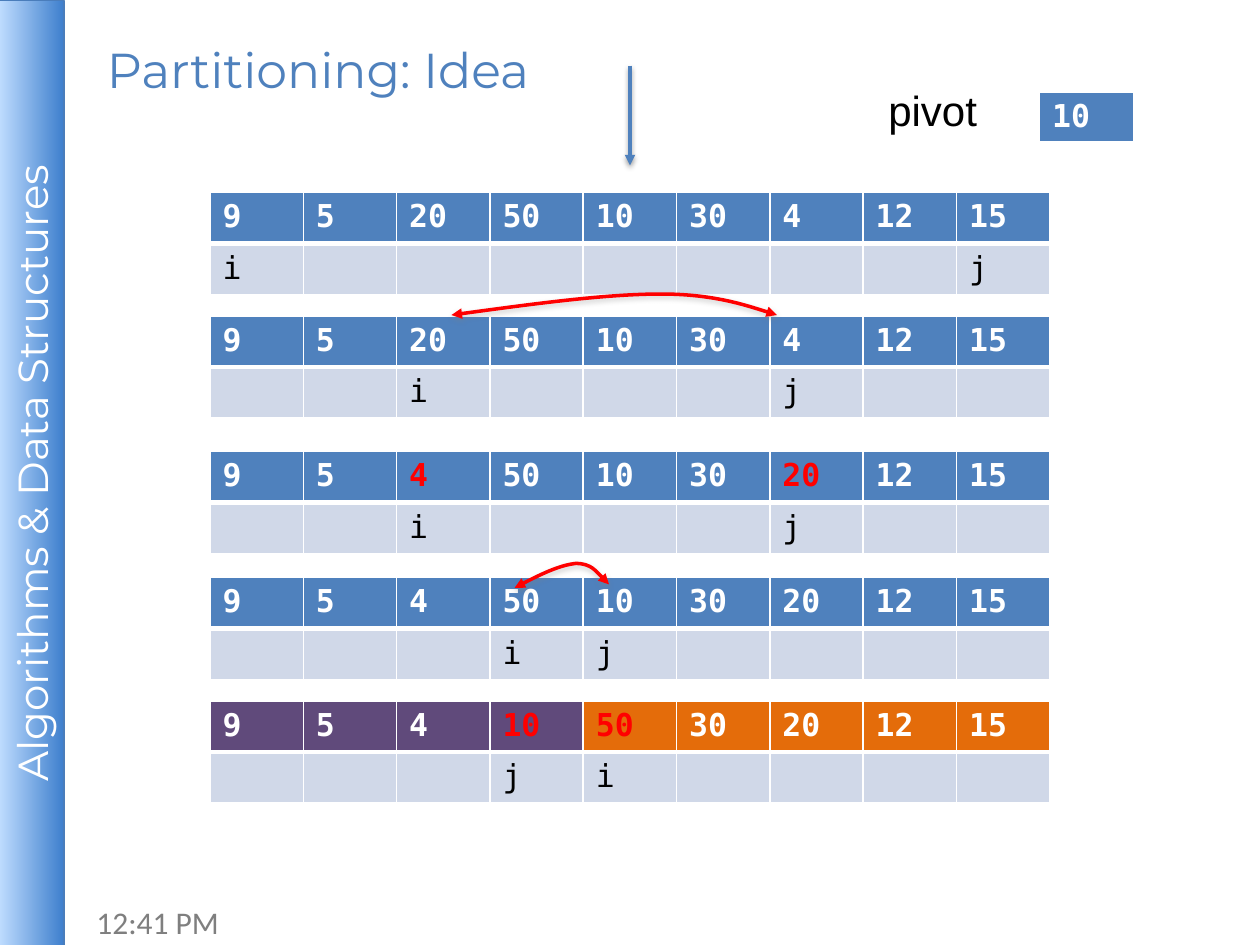
from lxml import etree
from pptx import Presentation
from pptx.dml.color import RGBColor
from pptx.enum.shapes import MSO_CONNECTOR as CONN, MSO_SHAPE as SHAPE
from pptx.enum.text import MSO_ANCHOR as ANCHOR, PP_ALIGN as ALIGN
from pptx.oxml import parse_xml
from pptx.oxml.ns import nsdecls, qn
from pptx.util import Pt

BLUE, PURPLE, ORANGE, PALE = "4F81BD", "604A7B", "E46C0A", "D0D8E8"
WHITE, BLACK, RED = "FFFFFF", "000000", "FF0000"


def rgb(value):
    return RGBColor.from_string(value)


def add_shadow(sp, color, alpha, blur, dist):
    sp._element.spPr.append(parse_xml(
        f'<a:effectLst {nsdecls("a")}><a:outerShdw blurRad="{Pt(blur)}" dist="{Pt(dist)}" '
        f'dir="5400000" rotWithShape="0"><a:srgbClr val="{color}">'
        f'<a:alpha val="{alpha * 1000}"/></a:srgbClr></a:outerShdw></a:effectLst>'))


prs = Presentation()
prs.slide_width, prs.slide_height = Pt(720), Pt(540)
s = prs.slides.add_slide(prs.slide_layouts[6])

# Side banner, turned to read upwards
sp = s.shapes.add_shape(SHAPE.RECTANGLE, Pt(-252), Pt(252), Pt(540.5), Pt(36.75))
sp.rotation = 270
sp.fill.gradient()
sp.fill.gradient_angle = 270
for stop, color in zip(sp.fill.gradient_stops, ("BDDBFE", "3E7FCD")):
    stop.color.rgb = rgb(color)
sp.line.color.rgb = rgb("4A7DBB")
sp.line.width = Pt(0.75)
add_shadow(sp, "EEECE1", 35, 0, 1.8)
tf = sp.text_frame
tf.vertical_anchor = ANCHOR.MIDDLE
tf.margin_left = tf.margin_right = tf.margin_top = tf.margin_bottom = Pt(3)
p = tf.paragraphs[0]
p.text = "Algorithms & Data Structures"
p.alignment = ALIGN.CENTER
p.font.size, p.font.name, p.font.color.rgb = Pt(24), "Montserrat", rgb(WHITE)

# Title, time and pivot label
labels = [
    ("Partitioning: Idea", 54, 11.5, 540, 56.2, "Montserrat", 28, BLUE, ANCHOR.MIDDLE, True),
    ("12:41 PM", 48, 512.5, 168, 29, "Calibri", 18, "7F7F7F", ANCHOR.TOP, True),
    ("pivot", 500.5, 44.75, 65.5, 36, "Arial", 24, BLACK, ANCHOR.TOP, False),
]
for text, x, y, w, h, font, size, color, anchor, wrap in labels:
    tf = s.shapes.add_textbox(Pt(x), Pt(y), Pt(w), Pt(h)).text_frame
    tf.word_wrap = wrap
    tf.vertical_anchor = anchor
    p = tf.paragraphs[0]
    p.text = text
    p.font.size, p.font.name, p.font.color.rgb = Pt(size), font, rgb(color)

# Array states: left, top, column width, values, index markers, red columns, fills
LEFT, COL_W, ROW_H = 120, 53.33, 29.2
ALL_BLUE = [BLUE] * 9
tables = [
    (LEFT, 110, COL_W, "9 5 20 50 10 30 4 12 15", {0: "i", 8: "j"}, (), ALL_BLUE),
    (LEFT, 180.5, COL_W, "9 5 20 50 10 30 4 12 15", {2: "i", 6: "j"}, (), ALL_BLUE),
    (LEFT, 258, COL_W, "9 5 4 50 10 30 20 12 15", {2: "i", 6: "j"}, (2, 6), ALL_BLUE),
    (LEFT, 330, COL_W, "9 5 4 50 10 30 20 12 15", {3: "i", 4: "j"}, (), ALL_BLUE),
    (LEFT, 400.5, COL_W, "9 5 4 10 50 30 20 12 15", {3: "j", 4: "i"}, (3, 4),
     [PURPLE] * 4 + [ORANGE] * 5),
    (594, 52.5, 54, "10", {}, (), [BLUE]),
]
for x, y, col_w, values, markers, reds, fills in tables:
    values = values.split()
    rows, cols = (2 if markers else 1), len(values)
    table = s.shapes.add_table(rows, cols, Pt(x), Pt(y), Pt(col_w * cols),
                               Pt(ROW_H * rows)).table
    for col in table.columns:
        col.width = Pt(col_w)
    for row in range(rows):
        header = row == 0
        borders = {"lnL": 1, "lnR": 1, "lnT": 1 if header else 3, "lnB": 3 if header else 1}
        for col in range(cols):
            cell = table.cell(row, col)
            tcPr = cell._tc.get_or_add_tcPr()
            for side, width in borders.items():
                ln = etree.SubElement(tcPr, qn(f"a:{side}"), w=str(Pt(width)))
                fill = etree.SubElement(ln, qn("a:solidFill"))
                etree.SubElement(fill, qn("a:srgbClr"), val=WHITE)
            cell.fill.solid()
            cell.fill.fore_color.rgb = rgb(fills[col] if header else PALE)
            p = cell.text_frame.paragraphs[0]
            p.text = values[col] if header else markers.get(col, "")
            p.font.size, p.font.name, p.font.bold = Pt(18), "DejaVu Sans Mono", header
            color = BLACK if not header else RED if col in reds else WHITE
            p.font.color.rgb = rgb(color)

# Swap arcs: a start and two Bezier segments of three points each
arcs = [
    [(258, 180.5), (302.5, 174.5), (346.5, 168.5), (377.5, 168),
     (409, 168), (444, 179.5), (444, 179.5)],
    [(294, 335.5), (307, 329), (320, 323), (329, 322.5),
     (338, 322.5), (348, 334), (348, 334)],
]
arrows = []
for start, *points in arcs:
    fb = s.shapes.build_freeform(*start, scale=Pt(1))
    fb.add_line_segments(points, close=False)
    sp = fb.convert_to_shape()
    sp.fill.background()
    # Join each three line points into one cubic curve
    steps = list(sp._element.iter(qn("a:lnTo")))
    for k in range(0, len(steps), 3):
        curve = etree.Element(qn("a:cubicBezTo"))
        steps[k].addprevious(curve)
        for step in steps[k:k + 3]:
            curve.append(step[0])
            step.getparent().remove(step)
    arrows.append((sp, RED, "808080", ("headEnd", "tailEnd")))

# Arrow down to the middle element
sp = s.shapes.add_connector(CONN.STRAIGHT, Pt(360), Pt(37.5), Pt(360), Pt(94.5))
arrows.append((sp, BLUE, BLACK, ("tailEnd",)))

# Line style, arrowheads and shadow of all arrows
for sp, color, shadow, ends in arrows:
    sp.line.color.rgb = rgb(color)
    sp.line.width = Pt(2)
    ln = sp._element.spPr.find(qn("a:ln"))
    for end in ends:
        etree.SubElement(ln, qn(f"a:{end}"), type="triangle")
    add_shadow(sp, shadow, 38, 3.1, 1.6)

prs.save("out.pptx")
